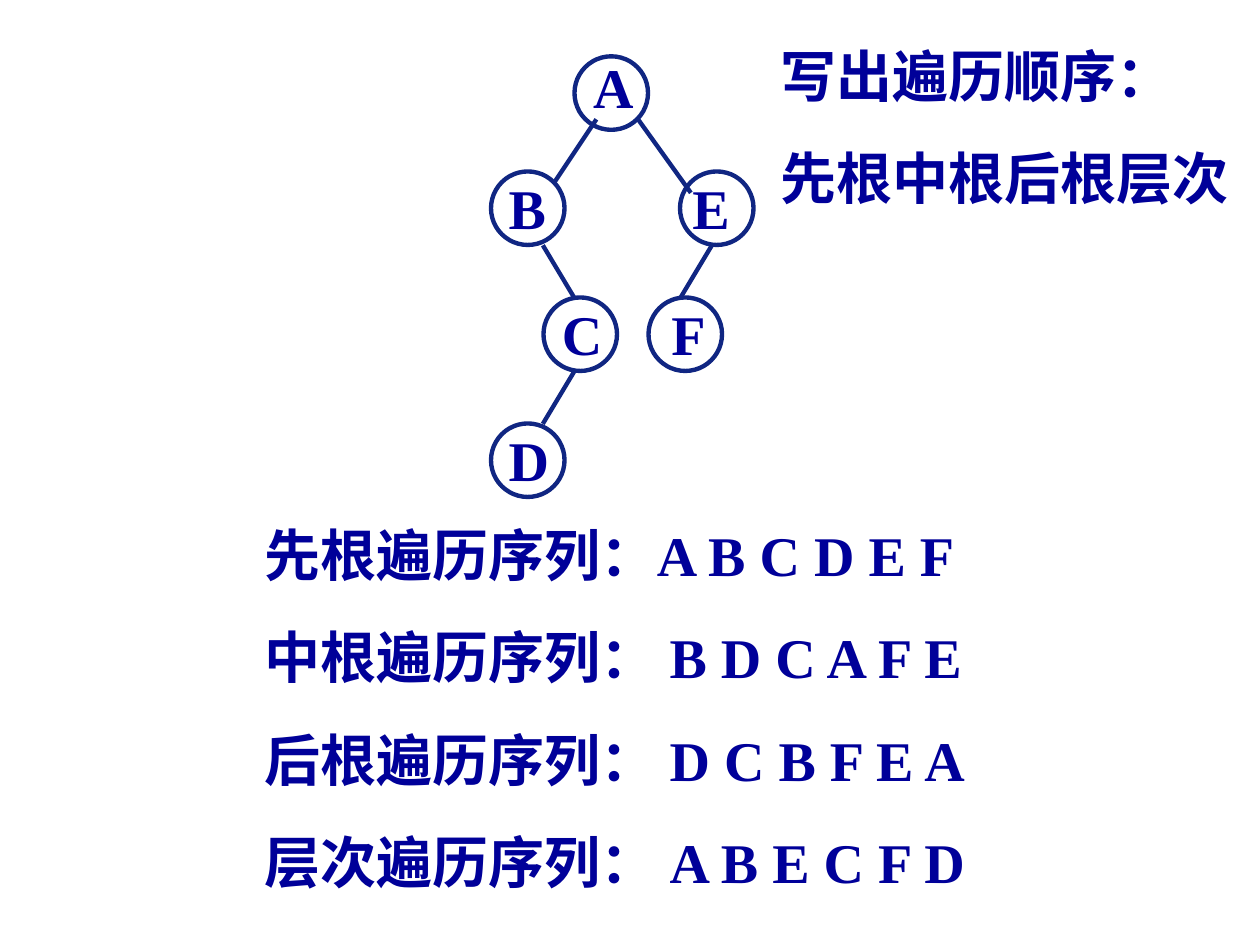
from dataclasses import dataclass
from lxml.etree import SubElement
from pptx import Presentation
from pptx.dml.color import RGBColor
from pptx.enum.shapes import MSO_CONNECTOR, MSO_SHAPE
from pptx.enum.text import MSO_AUTO_SIZE
from pptx.oxml.ns import qn
from pptx.shapes.shapetree import GroupShapes, SlideShapes
from pptx.util import Pt

COLORS = {"outline": "102682", "text": "000099"}
FONT = {"name": "Times New Roman", "size": Pt(32), "bold": True}
DIAMETER = 42
LINE_WIDTH = 2.5
PARAGRAPH_GAP = 20
LABEL_RISE = 6


@dataclass
class Node:
    letter: str
    left: float
    top: float
    label_shift: float
    label_height: float = 49.7
    line_spacing: float = 1.1


@dataclass
class Edge:
    start: tuple[float, float]
    end: tuple[float, float]


@dataclass
class TextBlock:
    left: float
    top: float
    width: float
    height: float
    lines: list[str]
    line_spacing: float = 1.0


NODES = [
    Node("A", 328.3, 32.2, 3.6, 46, 1.0),
    Node("B", 280.6, 98, 3),
    Node("D", 280.6, 242, 3),
    Node("F", 370.6, 170, 6),
    Node("C", 310.6, 170, 3.4),
    Node("E", 388.6, 98, 0),
]
EDGES = [
    Edge((340.8, 68.2), (316.8, 104.2)),
    Edge((406.8, 140.2), (388.8, 170.2)),
    Edge((364.6, 68.2), (394.8, 110.2)),
    Edge((310.2, 140.2), (328.2, 170.2)),
    Edge((328.2, 212.2), (310.2, 242.2)),
]
BLOCKS = [
    TextBlock(144, 294, 444, 221, [
        "先根遍历序列：A B C D E F",
        "中根遍历序列： B D C A F E",
        "后根遍历序列： D C B F E A",
        "层次遍历序列： A B E C F D",
    ]),
    TextBlock(439, 20.2, 281, 163, ["写出遍历顺序：", "先根中根后根层次"]),
]


def add_text(shapes: GroupShapes | SlideShapes, block: TextBlock) -> None:
    box = shapes.add_textbox(Pt(block.left), Pt(block.top), Pt(block.width), Pt(block.height))
    frame = box.text_frame
    frame.word_wrap = True
    frame.auto_size = MSO_AUTO_SIZE.SHAPE_TO_FIT_TEXT
    frame.text = "\n".join(block.lines)
    for index, paragraph in enumerate(frame.paragraphs):
        paragraph.line_spacing = block.line_spacing
        paragraph.space_before = Pt(PARAGRAPH_GAP if index else 0)
        font = paragraph.runs[0].font
        for attribute, value in FONT.items():
            setattr(font, attribute, value)
        font.color.rgb = RGBColor.from_string(COLORS["text"])


def add_node(shapes: GroupShapes, node: Node) -> None:
    circle = shapes.add_shape(
        MSO_SHAPE.OVAL, Pt(node.left), Pt(node.top), Pt(DIAMETER), Pt(DIAMETER)
    )
    circle.shadow.inherit = False
    circle.fill.background()
    circle.line.width = Pt(LINE_WIDTH)
    circle.line.color.rgb = RGBColor.from_string(COLORS["outline"])
    add_text(shapes, TextBlock(
        node.left + node.label_shift, node.top - LABEL_RISE,
        DIAMETER, node.label_height, [node.letter], node.line_spacing,
    ))


def add_edge(shapes: GroupShapes, edge: Edge) -> None:
    points = [Pt(value) for value in (*edge.start, *edge.end)]
    connector = shapes.add_connector(MSO_CONNECTOR.STRAIGHT, *points)
    connector.line.width = Pt(LINE_WIDTH)
    connector.line.color.rgb = RGBColor.from_string(COLORS["outline"])
    SubElement(connector.element.spPr, qn("a:effectLst"))


def main() -> None:
    presentation = Presentation()
    presentation.slide_width = Pt(720)
    presentation.slide_height = Pt(540)
    slide = presentation.slides.add_slide(presentation.slide_layouts[6])
    tree = slide.shapes.add_group_shape()
    for node in NODES:
        add_node(tree.shapes, node)
    for edge in EDGES:
        add_edge(tree.shapes, edge)
    for block in BLOCKS:
        add_text(slide.shapes, block)
    presentation.save("out.pptx")


if __name__ == "__main__":
    main()
